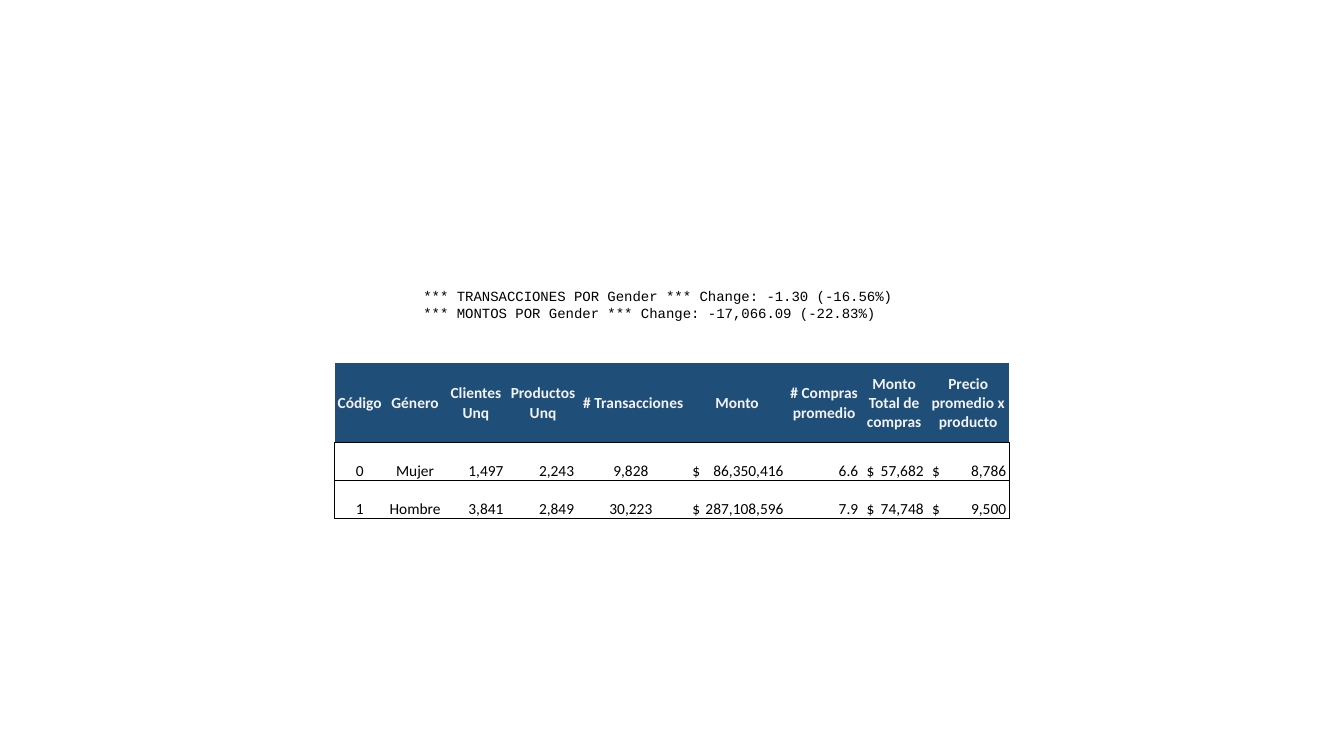
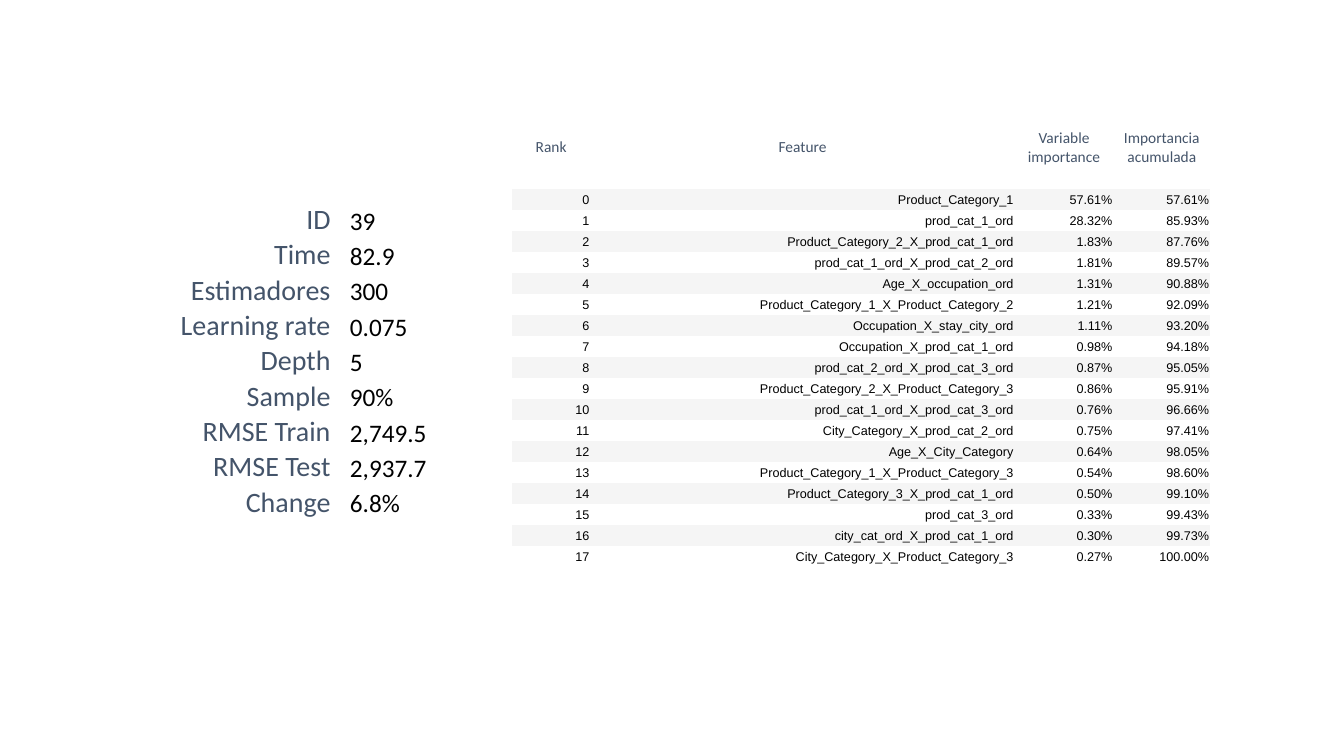
from dataclasses import dataclass, replace
from typing import Optional

from lxml import etree
from pptx import Presentation
from pptx.dml.color import RGBColor
from pptx.enum.text import MSO_ANCHOR, PP_ALIGN
from pptx.oxml.ns import qn
from pptx.util import Cm, Pt

LEFT, CENTER, RIGHT = PP_ALIGN.LEFT, PP_ALIGN.CENTER, PP_ALIGN.RIGHT
MIDDLE, BOTTOM = MSO_ANCHOR.MIDDLE, MSO_ANCHOR.BOTTOM

COLORS = {
    "black": "000000",
    "white": "FFFFFF",
    "navy": "1F4E78",
    "pale": "F2F2F2",
    "slate": "44546A",
    "band": "F5F5F5",
}
PLAIN_TABLE_STYLE = "{2D5ABB26-0587-4C30-8999-92F81FD0307C}"
EDGE = 0.03  # default cell inset in cm


@dataclass(frozen=True)
class CellStyle:
    font: str = "Calibri"
    size: float = 11
    color: str = "black"
    bold: bool = False
    align: PP_ALIGN = CENTER
    anchor: MSO_ANCHOR = BOTTOM
    left: float = EDGE
    right: float = EDGE
    fill: Optional[str] = None
    tab_gap: Optional[float] = None  # right tab, this far from the column edge
    borders: str = ""  # sides out of L, R, T, B


@dataclass(frozen=True)
class TableSpec:
    left: float
    top: float
    columns: list[float]
    rows: list[float]
    cells: list[list[tuple[str, CellStyle]]]


def rgb(name: str) -> RGBColor:
    return RGBColor.from_string(COLORS[name])


def set_values(target, values: dict) -> None:
    for name, value in values.items():
        setattr(target, name, value)


def write(paragraph, text: str, style: CellStyle) -> None:
    paragraph.alignment = style.align
    span = paragraph.add_run()
    span.text = text
    set_values(span.font, {"name": style.font, "size": Pt(style.size), "bold": style.bold})
    span.font.color.rgb = rgb(style.color)


def add_borders(cell, sides: str) -> None:
    properties = cell._tc.get_or_add_tcPr()
    for side in sides:
        line = etree.SubElement(properties, qn(f"a:ln{side}"), w=str(Pt(1)))
        solid = etree.SubElement(line, qn("a:solidFill"))
        etree.SubElement(solid, qn("a:srgbClr"), val=COLORS["black"])


def add_right_tab(paragraph, position: float) -> None:
    tabs = etree.SubElement(paragraph._p.get_or_add_pPr(), qn("a:tabLst"))
    etree.SubElement(tabs, qn("a:tab"), pos=str(Cm(position)), algn="r")


def fill_cell(cell, text: str, style: CellStyle, width: float) -> None:
    set_values(cell, {
        "margin_left": Cm(style.left),
        "margin_right": Cm(style.right),
        "margin_top": Cm(EDGE),
        "margin_bottom": 0,
        "vertical_anchor": style.anchor,
    })
    add_borders(cell, style.borders)
    if style.fill:
        cell.fill.solid()
        cell.fill.fore_color.rgb = rgb(style.fill)
    else:
        cell.fill.background()
    paragraph = cell.text_frame.paragraphs[0]
    if style.tab_gap is not None:
        add_right_tab(paragraph, width - style.left - style.tab_gap)
    write(paragraph, text, style)


def draw_table(page, spec: TableSpec) -> None:
    frame = page.shapes.add_table(
        len(spec.rows), len(spec.columns), Cm(spec.left), Cm(spec.top),
        Cm(sum(spec.columns)), Cm(sum(spec.rows)))
    table = frame.table
    set_values(table, {"first_row": False, "horz_banding": False})
    for style_id in table._tbl.iter(qn("a:tableStyleId")):
        style_id.text = PLAIN_TABLE_STYLE
    for column, width in zip(table.columns, spec.columns):
        column.width = Cm(width)
    for row, height, entries in zip(table.rows, spec.rows, spec.cells):
        row.height = Cm(height)
        for cell, (text, style), width in zip(row.cells, entries, spec.columns):
            fill_cell(cell, text, style, width)


# Slide 1: results by gender
CHANGE_LINES = [
    "*** TRANSACCIONES POR Gender *** Change: -1.30 (-16.56%)",
    "*** MONTOS POR Gender *** Change: -17,066.09 (-22.83%)",
]
CODE = CellStyle(font="Courier New", size=10, align=LEFT)

GENDER_HEADS = [
    "Código", "Género", "Clientes Unq", "Productos Unq", "# Transacciones",
    "Monto", "# Compras promedio", "Monto Total de compras",
    "Precio promedio x producto",
]
GENDER_ROWS = [
    ["0", "Mujer", "1,497", "2,243", "9,828", "$\t86,350,416", "6.6", "$\t57,682", "$\t8,786"],
    ["1", "Hombre", "3,841", "2,849", "30,223", "$\t287,108,596", "7.9", "$\t74,748", "$\t9,500"],
]
GENDER_HEAD = CellStyle(color="pale", bold=True, anchor=MIDDLE, fill="navy", borders="B")
LABEL = CellStyle(borders="TB")
NUMBER = replace(LABEL, align=RIGHT, right=0.08)
MONEY = replace(LABEL, align=LEFT, left=0.13, tab_gap=0.08)
GENDER_STYLES = [
    replace(LABEL, borders="LTB"), LABEL, NUMBER, replace(NUMBER, right=0.13),
    replace(LABEL, right=0.15), MONEY, NUMBER, MONEY, replace(MONEY, borders="RTB"),
]


def draw_gender_slide(page) -> None:
    box = page.shapes.add_textbox(Cm(10.67), Cm(7.24), Cm(12.52), Cm(0.86))
    box.fill.solid()
    box.fill.fore_color.rgb = rgb("white")
    frame = box.text_frame
    set_values(frame, {
        "word_wrap": True, "vertical_anchor": MIDDLE, "margin_left": 0,
        "margin_right": 0, "margin_top": 0, "margin_bottom": 0,
    })
    for index, text in enumerate(CHANGE_LINES):
        write(frame.add_paragraph() if index else frame.paragraphs[0], text, CODE)

    draw_table(page, TableSpec(
        8.43, 9.14,
        [1.27, 1.52, 1.55, 1.83, 2.72, 2.51, 1.88, 1.65, 2.08],
        [2.01] + [0.96] * len(GENDER_ROWS),
        [[(text, GENDER_HEAD) for text in GENDER_HEADS]]
        + [list(zip(row, GENDER_STYLES)) for row in GENDER_ROWS]))


# Slide 2: model settings and feature importance
SETTINGS = [
    ("ID", "39"), ("Time", "82.9"), ("Estimadores", "300"),
    ("Learning rate", "0.075"), ("Depth", "5"), ("Sample", "90%"),
    ("RMSE Train", "2,749.5"), ("RMSE Test", "2,937.7"), ("Change", "6.8%"),
]
SETTING_NAME = CellStyle(size=20, color="slate", align=RIGHT)
SETTING_VALUE = CellStyle(size=18, align=LEFT, left=0.46)

FEATURE_HEADS = ["Rank", "Feature", "Variable importance", "Importancia acumulada"]
FEATURES = [
    ("Product_Category_1", "57.61%", "57.61%"),
    ("prod_cat_1_ord", "28.32%", "85.93%"),
    ("Product_Category_2_X_prod_cat_1_ord", "1.83%", "87.76%"),
    ("prod_cat_1_ord_X_prod_cat_2_ord", "1.81%", "89.57%"),
    ("Age_X_occupation_ord", "1.31%", "90.88%"),
    ("Product_Category_1_X_Product_Category_2", "1.21%", "92.09%"),
    ("Occupation_X_stay_city_ord", "1.11%", "93.20%"),
    ("Occupation_X_prod_cat_1_ord", "0.98%", "94.18%"),
    ("prod_cat_2_ord_X_prod_cat_3_ord", "0.87%", "95.05%"),
    ("Product_Category_2_X_Product_Category_3", "0.86%", "95.91%"),
    ("prod_cat_1_ord_X_prod_cat_3_ord", "0.76%", "96.66%"),
    ("City_Category_X_prod_cat_2_ord", "0.75%", "97.41%"),
    ("Age_X_City_Category", "0.64%", "98.05%"),
    ("Product_Category_1_X_Product_Category_3", "0.54%", "98.60%"),
    ("Product_Category_3_X_prod_cat_1_ord", "0.50%", "99.10%"),
    ("prod_cat_3_ord", "0.33%", "99.43%"),
    ("city_cat_ord_X_prod_cat_1_ord", "0.30%", "99.73%"),
    ("City_Category_X_Product_Category_3", "0.27%", "100.00%"),
]
FEATURE_HEAD = CellStyle(color="slate", anchor=MIDDLE, fill="white")
FEATURE_BANDS = [
    CellStyle(font="Arial", size=9, align=RIGHT, anchor=MIDDLE, fill=fill)
    for fill in ("band", "white")
]


def draw_model_slide(page) -> None:
    draw_table(page, TableSpec(
        2.34, 5.08, [6.02, 3.81], [0.89] * len(SETTINGS),
        [[(name, SETTING_NAME), (value, SETTING_VALUE)] for name, value in SETTINGS]))

    draw_table(page, TableSpec(
        12.9, 2.64, [1.98, 10.69, 2.49, 2.44],
        [2.12] + [0.53] * len(FEATURES),
        [[(text, FEATURE_HEAD) for text in FEATURE_HEADS]]
        + [[(text, FEATURE_BANDS[rank % 2]) for text in (str(rank), *feature)]
           for rank, feature in enumerate(FEATURES)]))


def main() -> None:
    deck = Presentation()
    set_values(deck, {"slide_width": Cm(33.87), "slide_height": Cm(19.05)})
    blank = deck.slide_layouts[6]
    for draw in (draw_gender_slide, draw_model_slide):
        draw(deck.slides.add_slide(blank))
    deck.save("out.pptx")


if __name__ == "__main__":
    main()
